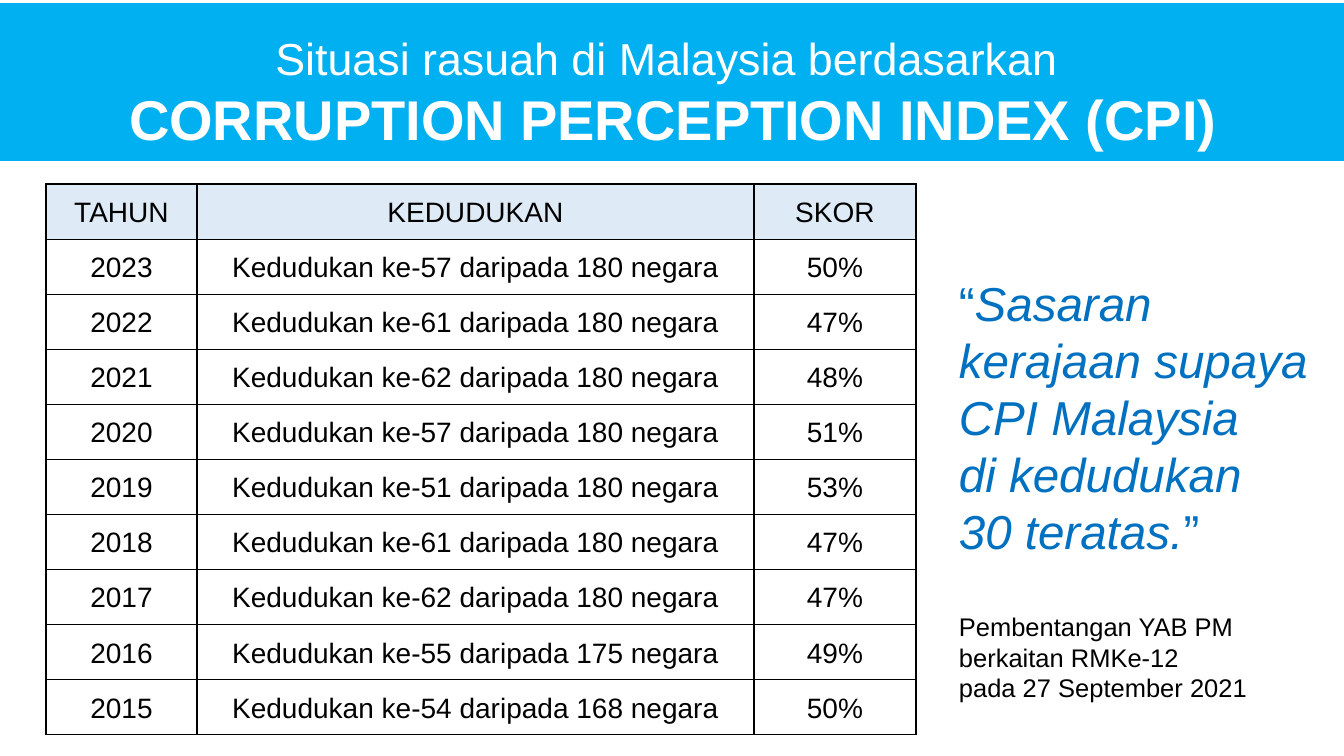
from lxml import etree
from pptx import Presentation, util as u
from pptx.dml.color import RGBColor
from pptx.enum import shapes, text
from pptx.oxml import ns

HUES = {"sky": "00B0F0", "pale": "DEEBF7", "white": "FFFFFF",
        "black": "000000", "blue": "0070C0"}
PX = 914400 / 100.8
MID = text.PP_ALIGN.CENTER


def px(n):
    return u.Emu(round(n * PX))


def hue(name):
    return RGBColor.from_string(HUES[name])


class Deck:
    def __init__(self, wide, high):
        self.file = Presentation()
        self.file.slide_width, self.file.slide_height = px(wide), px(high)
        self.page = self.file.slides.add_slide(self.file.slide_layouts[6])

    def band(self, box, color):
        rect = self.page.shapes.add_shape(
            shapes.MSO_SHAPE.RECTANGLE, *map(px, box))
        rect.shadow.inherit = False
        rect.fill.solid()
        rect.fill.fore_color.rgb = hue(color)
        rect.line.fill.background()

    def para(self, para, runs, **form):
        """Fill a paragraph from (words, size, color, font format) runs."""
        for key, value in form.items():
            setattr(para, key, value)
        for words, size, color, more in runs:
            run = para.add_run()
            run.text = words
            font = {"name": "Arial", "size": u.Pt(size), **more}
            for key, value in font.items():
                setattr(run.font, key, value)
            run.font.color.rgb = hue(color)

    def text(self, box, paras):
        frame = self.page.shapes.add_textbox(*map(px, box)).text_frame
        frame.word_wrap = True
        frame.auto_size = text.MSO_AUTO_SIZE.SHAPE_TO_FIT_TEXT
        for i, (runs, form) in enumerate(paras):
            para = frame.add_paragraph() if i else frame.paragraphs[0]
            self.para(para, runs, **form)

    def cell(self, cell, words, fill):
        form = {"margin_left": px(7), "margin_right": px(7),
                "margin_top": 0, "margin_bottom": 0,
                "vertical_anchor": text.MSO_ANCHOR.MIDDLE}
        for key, value in form.items():
            setattr(cell, key, value)
        self.para(cell.text_frame.paragraphs[0], [(words, 20, "black", {})],
                  alignment=MID, line_spacing=1.07)
        prop = cell._tc.get_or_add_tcPr()
        for side in "LRTB":
            line = etree.SubElement(prop, ns.qn(f"a:ln{side}"), w="12700")
            solid = etree.SubElement(line, ns.qn("a:solidFill"))
            etree.SubElement(solid, ns.qn("a:srgbClr"), val=HUES["black"])
        cell.fill.solid()
        cell.fill.fore_color.rgb = hue(fill)

    def table(self, box, wides, rows):
        grid = self.page.shapes.add_table(
            len(rows), len(wides), *map(px, box)).table
        grid.first_row = grid.horz_banding = False
        for col, wide in zip(grid.columns, wides):
            col.width = px(wide)
        for r, row in enumerate(rows):
            grid.rows[r].height = px(box[3] / len(rows))
            for c, words in enumerate(row):
                self.cell(grid.cell(r, c), words, "white" if r else "pale")


RANKS = [(2023, 57, 180, 50), (2022, 61, 180, 47), (2021, 62, 180, 48),
         (2020, 57, 180, 51), (2019, 51, 180, 53), (2018, 61, 180, 47),
         (2017, 62, 180, 47), (2016, 55, 175, 49), (2015, 54, 168, 50)]


def main():
    deck = Deck(1344, 756)
    deck.band((0, 3, 1344, 158), "sky")

    rows = [("TAHUN", "KEDUDUKAN", "SKOR")]
    rows += [(str(year), f"Kedudukan ke-{rank} daripada {total} negara",
              f"{score}%") for year, rank, total, score in RANKS]
    deck.table((46, 184, 870, 551), (151, 557, 162), rows)

    quote = (34, "blue", {})
    slant = (34, "blue", {"italic": True})
    note = (18.2, "black", {})
    deck.text((949, 269, 380, 445), [
        ([("“", *quote),
          ("Sasaran kerajaan supaya CPI Malaysia", *slant)], {}),
        ([("di kedudukan", *slant)], {}),
        ([("30 teratas.", *slant), ("”", *quote)], {}),
        ([("Pembentangan YAB PM berkaitan RMKe-12", *note)],
         {"space_before": u.Pt(37)}),
        ([("pada 27 September 2021", *note)], {})])

    deck.text((46, 26, 1254, 132), [
        ([("Situasi rasuah di Malaysia berdasarkan ", 32, "white", {})],
         {"alignment": MID}),
        ([("CORRUPTION PERCEPTION INDEX (CPI)", 40, "white",
           {"bold": True})], {"alignment": MID})])
    deck.file.save("out.pptx")


if __name__ == "__main__":
    main()
